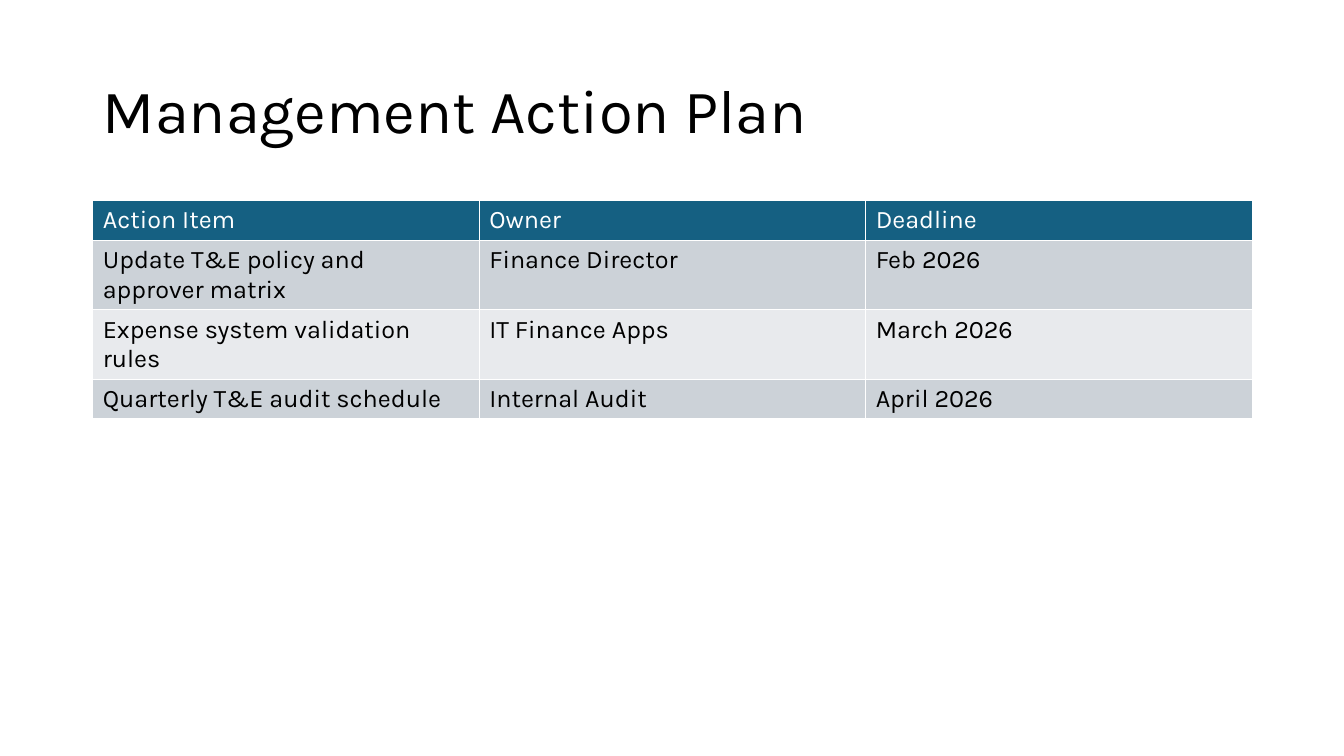
"""Build the Management Action Plan slide."""
from pptx import Presentation
from pptx.dml.color import RGBColor
from pptx.enum import text
from pptx.util import Inches, Pt

TITLE = "Management Action Plan"
ACTIONS = [
    ("Action Item", "Owner", "Deadline"),
    ("Update T&E policy and approver matrix", "Finance Director", "Feb 2026"),
    ("Expense system validation rules", "IT Finance Apps", "March 2026"),
    ("Quarterly T&E audit schedule", "Internal Audit", "April 2026"),
]
ROW_HEIGHTS = [0.38, 0.69, 0.69, 0.38]
LEFT, WIDTH = 0.92, 11.5
TITLE_TOP, TITLE_HEIGHT = 0.4, 1.45
TABLE_TOP = 1.99
FONT = "Karla"
COLORS = {
    "background": "FFFFFF",
    "text": "000000",
    "header": "156082",
    "header_text": "FFFFFF",
    "odd_row": "CCD2D8",
    "even_row": "E8EAED",
}


def rgb(name):
    return RGBColor.from_string(COLORS[name])


def write(text_frame, content, size=18, color="text", line_spacing=1.0):
    paragraph = text_frame.paragraphs[0]
    paragraph.alignment = text.PP_ALIGN.LEFT
    paragraph.line_spacing = line_spacing
    run = paragraph.add_run()
    run.text = content
    run.font.name = FONT
    run.font.size = Pt(size)
    run.font.bold = False
    run.font.color.rgb = rgb(color)


def add_title(slide):
    title = slide.shapes.title
    title.left, title.top = Inches(LEFT), Inches(TITLE_TOP)
    title.width, title.height = Inches(WIDTH), Inches(TITLE_HEIGHT)
    title.text_frame.auto_size = text.MSO_AUTO_SIZE.NONE
    title.text_frame.vertical_anchor = text.MSO_ANCHOR.MIDDLE
    write(title.text_frame, TITLE, size=44, line_spacing=0.9)


def add_action_table(slide):
    table = slide.shapes.add_table(
        len(ACTIONS), len(ACTIONS[0]), Inches(LEFT), Inches(TABLE_TOP),
        Inches(WIDTH), Inches(sum(ROW_HEIGHTS))).table
    for row_index, action in enumerate(ACTIONS):
        table.rows[row_index].height = Inches(ROW_HEIGHTS[row_index])
        is_header = row_index == 0
        band = "odd_row" if row_index % 2 else "even_row"
        for column_index, content in enumerate(action):
            cell = table.cell(row_index, column_index)
            cell.fill.solid()
            cell.fill.fore_color.rgb = rgb("header" if is_header else band)
            write(cell.text_frame, content, color="header_text" if is_header else "text")


def main():
    presentation = Presentation()
    presentation.slide_width = Inches(13.33)
    presentation.slide_height = Inches(7.5)
    slide = presentation.slides.add_slide(presentation.slide_layouts.get_by_name("Title Only"))
    slide.background.fill.solid()
    slide.background.fill.fore_color.rgb = rgb("background")
    add_title(slide)
    add_action_table(slide)
    presentation.save("out.pptx")


if __name__ == "__main__":
    main()
